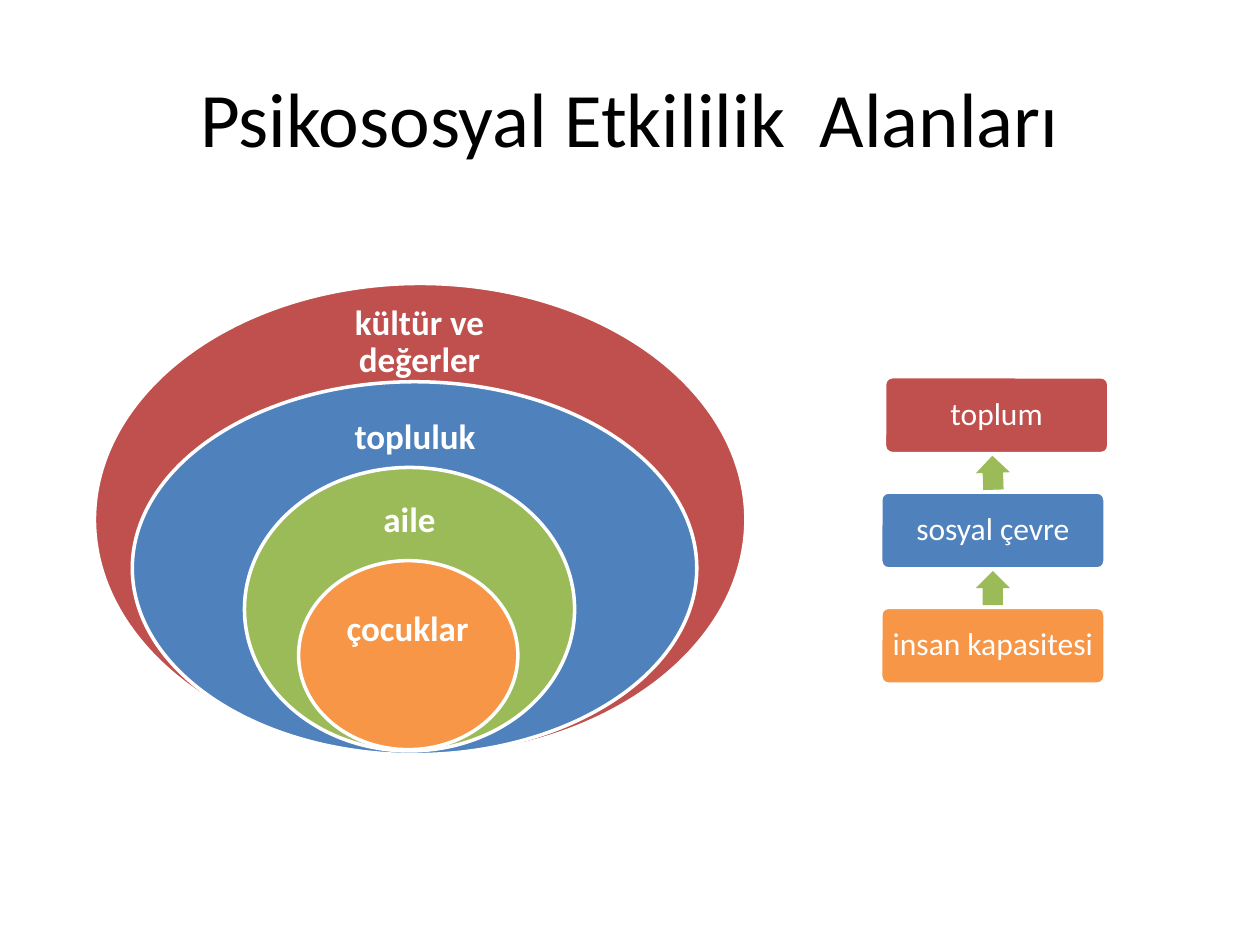
import pptx
import pptx.util
import pptx.dml.color
import pptx.enum.shapes
import pptx.enum.text
from pptx.util import Inches

COLORS = {
    "black": "000000",
    "white": "FFFFFF",
    "red": "C0504D",
    "blue": "4F81BD",
    "green": "9BBB59",
    "orange": "F79646",
}
SHAPES = pptx.enum.shapes.MSO_SHAPE


def rgb(name):
    """Return the named colour."""
    return pptx.dml.color.RGBColor.from_string(COLORS[name])


def write_text(shape, text, size, color="white", bold=False, spacing=0.9, margin=0.07):
    """Write one centred paragraph into a shape."""
    frame = shape.text_frame
    frame.word_wrap = True
    frame.vertical_anchor = pptx.enum.text.MSO_ANCHOR.MIDDLE
    frame.margin_left = frame.margin_right = Inches(margin)
    frame.margin_top = frame.margin_bottom = Inches(margin)
    paragraph = frame.paragraphs[0]
    paragraph.alignment = pptx.enum.text.PP_ALIGN.CENTER
    paragraph.line_spacing = spacing
    run = paragraph.add_run()
    run.text = text
    run.font.name = "Calibri"
    run.font.size = pptx.util.Pt(size)
    run.font.bold = bold
    run.font.color.rgb = rgb(color)


def add_text(slide, box, text, **text_format):
    """Add a text box at left, top, width, height in inches."""
    write_text(slide.shapes.add_textbox(*map(Inches, box)), text, **text_format)


def add_filled(slide, kind, box, color, outlined=True):
    """Add a flat filled shape, with a white outline if asked."""
    shape = slide.shapes.add_shape(kind, *map(Inches, box))
    shape.shadow.inherit = False
    shape.fill.solid()
    shape.fill.fore_color.rgb = rgb(color)
    if outlined:
        shape.line.color.rgb = rgb("white")
        shape.line.width = pptx.util.Pt(2)
    else:
        shape.line.fill.background()
    return shape


def add_nested_ellipses(slide, left, top):
    """Draw the nested areas of influence, outermost first."""
    areas = [
        ("kültür ve değerler", "red", (0, 0, 5.17, 3.75), (1.86, 0.19, 1.44, 0.56)),
        ("topluluk", "blue", (0.3, 0.78, 4.48, 2.96), (1.76, 0.96, 1.57, 0.53)),
        ("aile", "green", (1.19, 1.46, 2.62, 2.25), (1.89, 1.63, 1.22, 0.51)),
        ("çocuklar", "orange", (1.62, 2.2, 1.74, 1.5), (1.87, 2.5, 1.23, 0.5)),
    ]
    for text, color, ellipse, label in areas:
        ellipse_box, label_box = (
            (left + x, top + y, width, height)
            for x, y, width, height in (ellipse, label)
        )
        add_filled(slide, SHAPES.OVAL, ellipse_box, color)
        add_text(slide, label_box, text, size=20, bold=True)


def add_capacity_chain(slide, left, top, width):
    """Stack the three levels, with an arrow rising from each to the next."""
    levels = [
        ("toplum", "red", 0.03),
        ("sosyal çevre", "blue", 0),
        ("insan kapasitesi", "orange", 0),
    ]
    height, pitch = 0.61, 0.915
    for index, (text, color, shift) in enumerate(levels):
        level_top = top + index * pitch
        level = add_filled(slide, SHAPES.ROUNDED_RECTANGLE,
                           (left + shift, level_top, width, height), color)
        level.adjustments[0] = 0.1
        write_text(level, text, size=18)

    arrow_width, arrow_height = 0.27, 0.27
    for index, tilt in enumerate((-1.8, 0)):
        arrow_left = left + (width - arrow_width) / 2
        arrow_top = top + index * pitch + (pitch + height - arrow_height) / 2
        arrow = add_filled(slide, SHAPES.UP_ARROW,
                           (arrow_left, arrow_top, arrow_width, arrow_height),
                           "green", outlined=False)
        arrow.adjustments[0] = 0.6
        arrow.adjustments[1] = 0.5
        arrow.rotation = tilt


def main():
    """Build and save the slide."""
    presentation = pptx.Presentation()
    presentation.slide_width = Inches(10)
    presentation.slide_height = Inches(7.5)
    slide = presentation.slides.add_slide(presentation.slide_layouts[6])
    add_text(slide, (0.5, 0.3, 9, 1.25), "Psikososyal Etkililik  Alanları",
             size=44, color="black", spacing=1.0)
    add_nested_ellipses(slide, 0.75, 2.25)
    add_capacity_chain(slide, 6.99, 2.99, 1.78)
    presentation.save("out.pptx")


if __name__ == "__main__":
    main()
